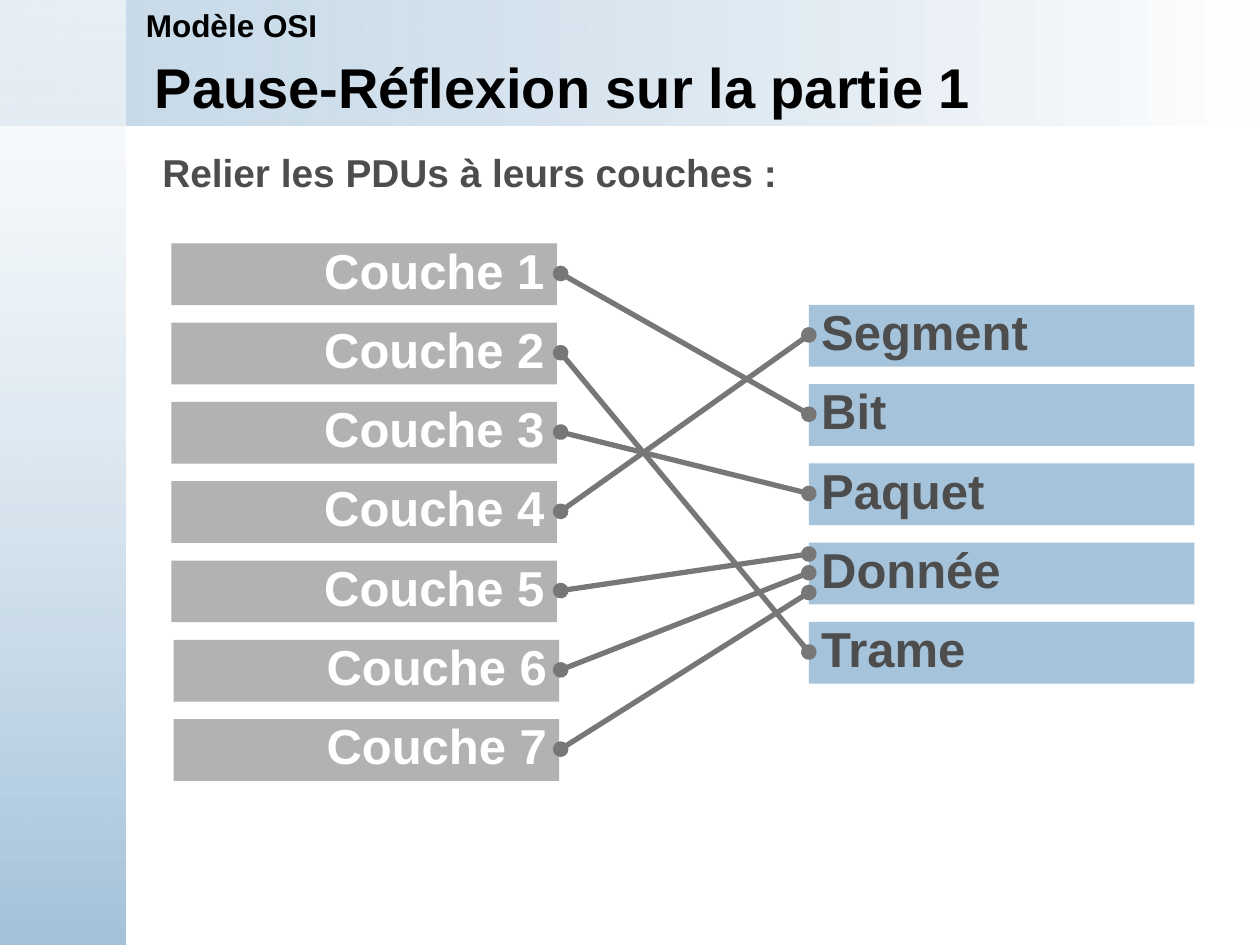
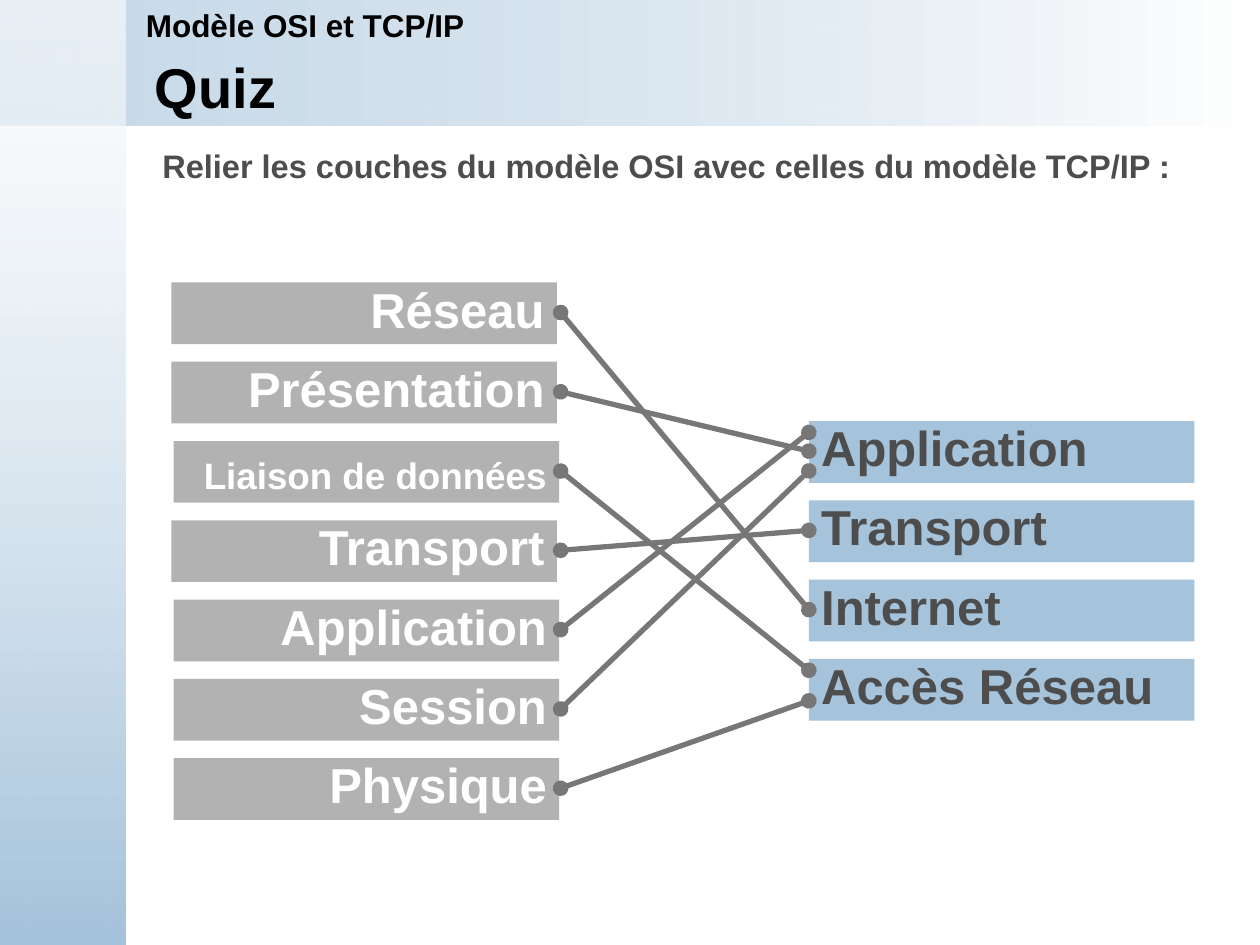
from pptx import Presentation
from pptx.dml.color import RGBColor
from pptx.enum.shapes import MSO_CONNECTOR as Connector, MSO_SHAPE as Shape
from pptx.enum.text import MSO_ANCHOR as Anchor, PP_ALIGN as Align
from pptx.oxml.ns import qn
from pptx.util import Pt
from lxml.etree import SubElement

FONT = "Arial"
BLACK = RGBColor(0x00, 0x00, 0x00)
WHITE = RGBColor(0xFF, 0xFF, 0xFF)
BLUE = RGBColor(0xA5, 0xC3, 0xDB)
GREY = RGBColor(0xB2, 0xB2, 0xB2)
DARK = RGBColor(0x4D, 0x4D, 0x4D)
LINK = RGBColor(0x77, 0x77, 0x77)

# Heights, below the top of a right-hand bar, at which links arrive
HIGH, MIDDLE, LOWER, LOW = 6.5, 17.2, 24, 28.5

# Links are (left bar, right bar, arrival height)
PAGES = [
    {
        "topic": "Modèle OSI",
        "title": "Pause-Réflexion sur la partie 1",
        "task": ("Relier les PDUs à leurs couches :", 22.2, 0.9),
        "left_top": 139.1,
        "left": [f"Couche {number}" for number in range(1, 8)],
        "shifted": {"Couche 6", "Couche 7"},
        "right_top": 174.2,
        "right": ["Segment", "Bit", "Paquet", "Donnée", "Trame"],
        "links": [
            ("Couche 1", "Bit", MIDDLE),
            ("Couche 2", "Trame", MIDDLE),
            ("Couche 3", "Paquet", MIDDLE),
            ("Couche 4", "Segment", MIDDLE),
            ("Couche 5", "Donnée", HIGH),
            ("Couche 6", "Donnée", MIDDLE),
            ("Couche 7", "Donnée", LOW),
        ],
    },
    {
        "topic": "Modèle OSI et TCP/IP",
        "title": "Quiz",
        "task": ("Relier les couches du modèle OSI avec celles du modèle TCP/IP :",
                 18.6, 0.8),
        "left_top": 161.4,
        "left": ["Réseau", "Présentation", "Liaison de données", "Transport",
                 "Application", "Session", "Physique"],
        "shifted": {"Liaison de données", "Application", "Session", "Physique"},
        "right_top": 240.6,
        "right": ["Application", "Transport", "Internet", "Accès Réseau"],
        "links": [
            ("Réseau", "Internet", MIDDLE),
            ("Présentation", "Application", MIDDLE),
            ("Liaison de données", "Accès Réseau", HIGH),
            ("Transport", "Transport", MIDDLE),
            ("Application", "Application", HIGH),
            ("Session", "Application", LOW),
            ("Physique", "Accès Réseau", LOWER),
        ],
    },
]

PAGE_W, PAGE_H, BAND = 720, 540, 72
BAR_W, BAR_H, BAR_PITCH = 220.3, 35.3, 45.3
LEFT_X, SHIFT, RIGHT_X = 97.9, 1.4, 462.2
LINK_START_X = 320.4
BAR_SIZE, LONG_BAR_SIZE, LONG_LABEL = 28, 21, 15


def add_rect(page, left, top, width, height):
    rect = page.shapes.add_shape(Shape.RECTANGLE, Pt(left), Pt(top), Pt(width), Pt(height))
    rect.shadow.inherit = False
    rect.line.fill.background()
    return rect


def add_band(page, width, height, colours, angle, opacity):
    """Gradient band from the top left corner; its first colour is see-through."""
    band = add_rect(page, 0, 0, width, height)
    band.fill.gradient()
    band.fill.gradient_angle = angle
    for stop, colour in zip(band.fill.gradient_stops, colours):
        stop.color.rgb = colour
    first = next(band.element.iter(qn("a:srgbClr")))
    SubElement(first, qn("a:alpha")).set("val", str(opacity * 1000))


def write(shape, text, size, colour, anchor=Anchor.TOP):
    frame = shape.text_frame
    frame.word_wrap = True
    frame.vertical_anchor = anchor
    para = frame.paragraphs[0]
    para.alignment = Align.LEFT
    span = para.add_run()
    span.text = text
    span.font.name = FONT
    span.font.size = Pt(size)
    span.font.bold = True
    span.font.color.rgb = colour
    return para


def add_text(page, left, top, width, height, text, size, colour, anchor=Anchor.TOP):
    box = page.shapes.add_textbox(Pt(left), Pt(top), Pt(width), Pt(height))
    return write(box, text, size, colour, anchor)


def add_bar(page, left, top, text, fill, colour, align):
    bar = add_rect(page, left, top, BAR_W, BAR_H)
    bar.fill.solid()
    bar.fill.fore_color.rgb = fill
    size = LONG_BAR_SIZE if len(text) > LONG_LABEL else BAR_SIZE
    para = write(bar, text, size, colour, Anchor.MIDDLE)
    para.alignment = align
    para.line_spacing = Pt(28)
    para.space_after = Pt(20)


def add_link(page, start_y, end_y):
    link = page.shapes.add_connector(
        Connector.STRAIGHT, Pt(LINK_START_X), Pt(start_y), Pt(RIGHT_X), Pt(end_y))
    link.line.color.rgb = LINK
    link.line.width = Pt(3)
    outline = link.line._get_or_add_ln()
    for end in ("a:headEnd", "a:tailEnd"):
        SubElement(outline, qn(end)).set("type", "oval")
    SubElement(link.element.spPr, qn("a:effectLst"))


def bar_tops(labels, first_top):
    return {label: first_top + row * BAR_PITCH for row, label in enumerate(labels)}


def build_page(deck, content):
    page = deck.slides.add_slide(deck.slide_layouts[6])
    add_band(page, PAGE_W, BAND, (BLUE, WHITE), 0, 62)
    add_band(page, BAND, PAGE_H, (WHITE, BLUE), 270, 59)
    add_text(page, 81.4, 31.7, 608.4, 35.3, content["title"], 32, BLACK, Anchor.MIDDLE)
    add_text(page, 76.3, 0, 643.7, 28.8, content["topic"], 18, BLACK)
    task, size, spacing = content["task"]
    add_text(page, 85.7, 84.2, 609.8, 36, task, size, DARK).line_spacing = spacing

    left_tops = bar_tops(content["left"], content["left_top"])
    right_tops = bar_tops(content["right"], content["right_top"])
    for label, top in left_tops.items():
        left = LEFT_X + SHIFT * (label in content["shifted"])
        add_bar(page, left, top, label, GREY, WHITE, Align.RIGHT)
    for label, top in right_tops.items():
        add_bar(page, RIGHT_X, top, label, BLUE, DARK, Align.LEFT)
    for source, target, arrival in content["links"]:
        add_link(page, left_tops[source] + MIDDLE, right_tops[target] + arrival)


def main():
    deck = Presentation()
    deck.slide_width, deck.slide_height = Pt(PAGE_W), Pt(PAGE_H)
    for content in PAGES:
        build_page(deck, content)
    deck.save("out.pptx")


if __name__ == "__main__":
    main()
